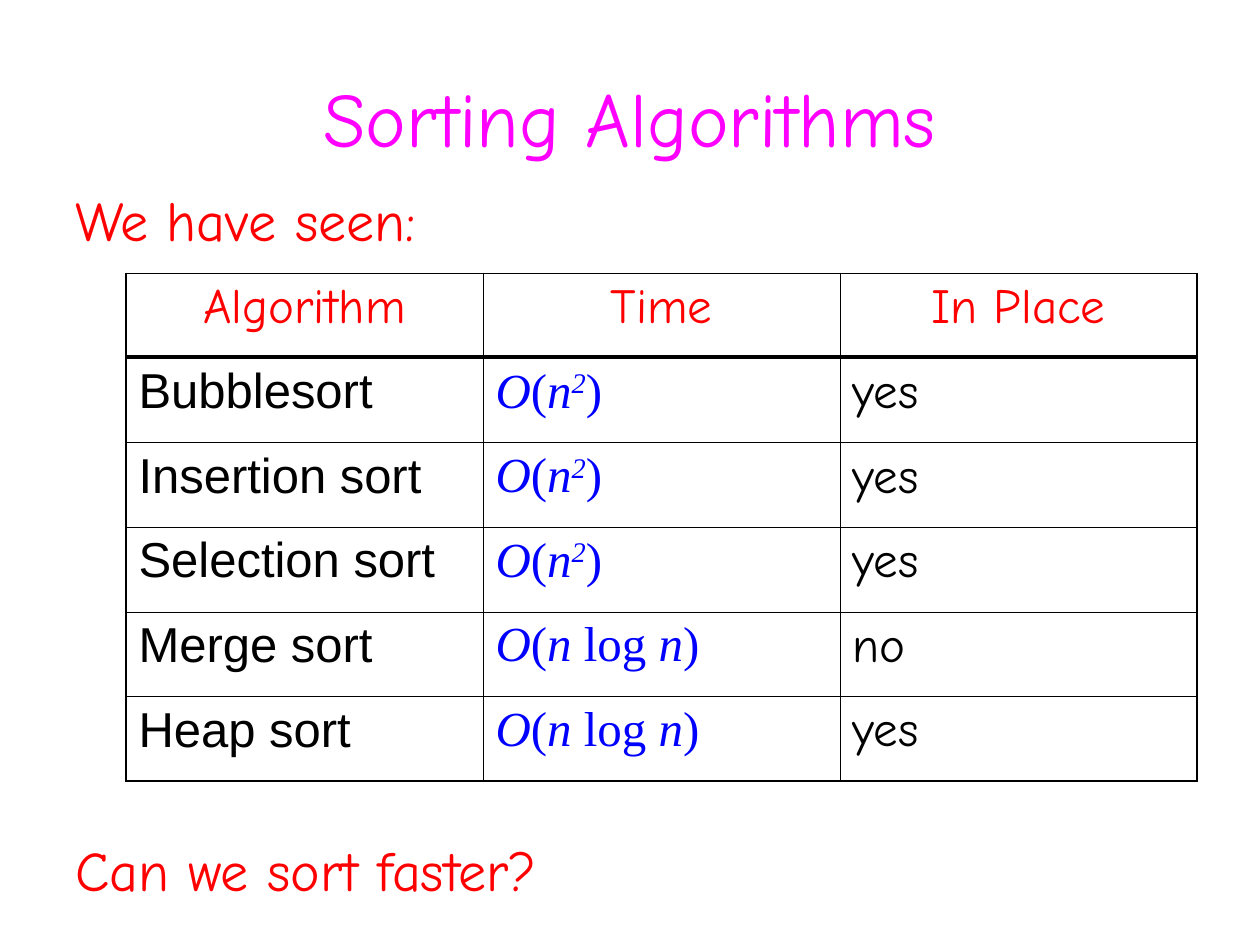
from lxml.etree import SubElement
from pptx import Presentation
from pptx.dml.color import RGBColor
from pptx.enum.shapes import MSO_CONNECTOR
from pptx.enum.text import MSO_ANCHOR, PP_ALIGN
from pptx.oxml.ns import qn
from pptx.util import Inches, Pt

PINK = RGBColor(0xFF, 0x00, 0xFF)
RED = RGBColor(0xFF, 0x00, 0x00)
BLUE = RGBColor(0x00, 0x00, 0xFF)
BLACK = RGBColor(0x00, 0x00, 0x00)

COMIC, ARIAL, TIMES = "Comic Neue", "Arial", "Times New Roman"
LEFT, MID = PP_ALIGN.LEFT, PP_ALIGN.CENTER

TITLE = {"name": COMIC, "size": Pt(44), "color": PINK}
NOTE = {"name": COMIC, "size": Pt(32), "color": RED}
HEAD = {"name": COMIC, "size": Pt(28), "color": RED}
SORT = {"name": ARIAL, "size": Pt(28), "color": BLACK}
TIME = {"name": TIMES, "size": Pt(28), "color": BLUE}
PLACE = {"name": COMIC, "size": Pt(28), "color": BLACK}
SLANT = {"italic": True}
POWER = {"italic": True, "base": 30000}

SQUARE = [("O", SLANT), ("(", {}), ("n", SLANT), ("2", POWER), (")", {})]
NLOGN = [("O", SLANT), ("(", {}), ("n ", SLANT), ("log", {}),
         (" n", SLANT), (")", {})]

BOXES = [
    ("Sorting Algorithms", TITLE, (0.5, 0.3, 9, 1.25), MID, MSO_ANCHOR.MIDDLE),
    ("We have seen:", NOTE, (0.5, 1.42, 9.17, 0.67), LEFT, MSO_ANCHOR.TOP),
    ("Can we sort faster?", NOTE, (0.5, 6.58, 9.17, 0.67), LEFT, MSO_ANCHOR.TOP),
]
ROWS = [
    ("Algorithm", "Time", "In Place"),
    ("Bubblesort", SQUARE, "yes"),
    ("Insertion sort", SQUARE, "yes"),
    ("Selection sort", SQUARE, "yes"),
    ("Merge sort", NLOGN, "no"),
    ("Heap sort", NLOGN, "yes"),
]
STYLES = (SORT, TIME, PLACE)
X, Y, WIDE, HIGH = 1, 2.17, 8.5, 4.03
RULE = 2.83
THIN, THICK = Pt(0.45), Pt(1.08)


def write(frame, parts, style, align):
    para = frame.paragraphs[0]
    para.alignment = align
    if isinstance(parts, str):
        parts = [(parts, {})]
    for text, extra in parts:
        run = para.add_run()
        run.text = text
        for key, value in {**style, **extra}.items():
            if key == "color":
                run.font.color.rgb = value
            elif key == "base":
                run.font._element.set("baseline", str(value))
            else:
                setattr(run.font, key, value)


def edge(cell, sides):
    props = cell._tc.get_or_add_tcPr()
    for spot, (side, outer) in enumerate(sides.items()):
        line = SubElement(props, qn(f"a:ln{side}"), w=str(THICK if outer else THIN))
        fill = SubElement(line, qn("a:solidFill"))
        SubElement(fill, qn("a:srgbClr"), val=str(BLACK))
        props.remove(line)
        props.insert(spot, line)


def add_box(slide, text, style, place, align, anchor):
    frame = slide.shapes.add_textbox(*map(Inches, place)).text_frame
    frame.word_wrap = True
    frame.vertical_anchor = anchor
    write(frame, text, style, align)


def add_grid(slide):
    rows, cols = len(ROWS), len(STYLES)
    table = slide.shapes.add_table(
        rows, cols, *map(Inches, (X, Y, WIDE, HIGH))).table
    table.first_row = table.horz_banding = False
    for r, row in enumerate(ROWS):
        for c, parts in enumerate(row):
            cell = table.cell(r, c)
            cell.fill.background()
            head = r == 0
            write(cell.text_frame, parts, HEAD if head else STYLES[c],
                  MID if head else LEFT)
            edge(cell, {"L": c == 0, "R": c == cols - 1,
                        "T": r == 0, "B": r == rows - 1})


def add_rule(slide):
    rule = slide.shapes.add_connector(
        MSO_CONNECTOR.STRAIGHT, *map(Inches, (X, RULE, X + WIDE, RULE)))
    rule.line.color.rgb = BLACK
    rule.line.width = Pt(2.25)
    SubElement(rule._element.spPr, qn("a:effectLst"))


def main():
    deck = Presentation()
    deck.slide_width, deck.slide_height = Inches(10), Inches(7.5)
    slide = deck.slides.add_slide(deck.slide_layouts[6])
    for box in BOXES:
        add_box(slide, *box)
    add_grid(slide)
    add_rule(slide)
    deck.save("out.pptx")


if __name__ == "__main__":
    main()
